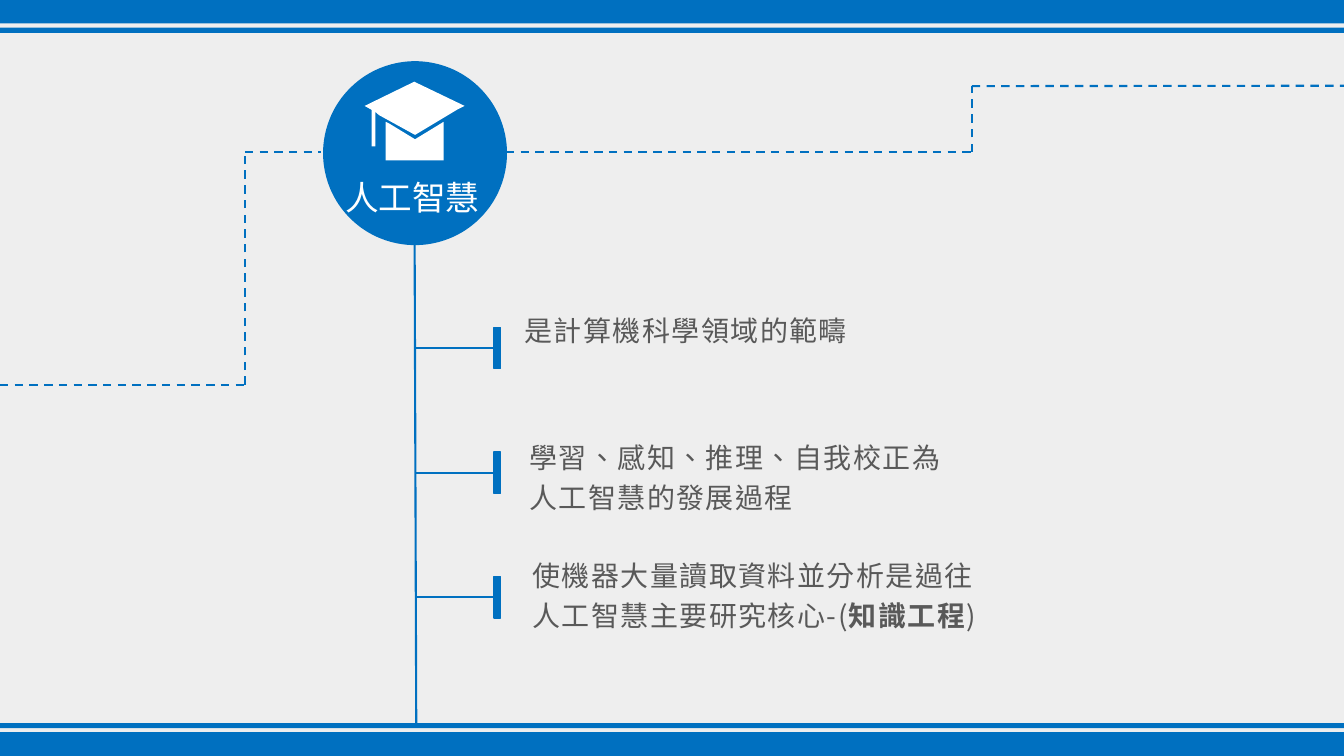
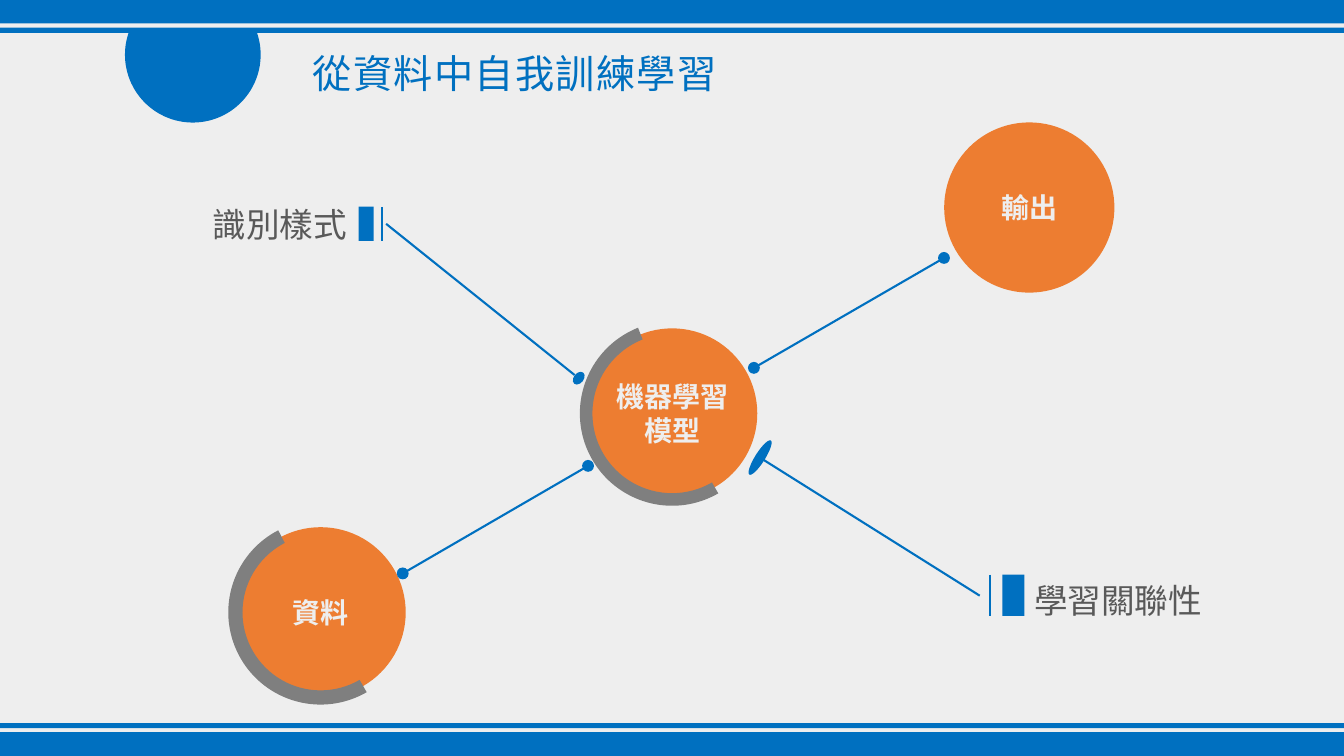
import itertools
import math
from typing import NamedTuple

import lxml.etree
import pptx
import pptx.dml.color
import pptx.enum.dml
import pptx.enum.shapes
import pptx.enum.text
import pptx.oxml.ns
import pptx.util

Cm = pptx.util.Cm
Pt = pptx.util.Pt
KIND = pptx.enum.shapes.MSO_SHAPE
ALIGN = pptx.enum.text.PP_ALIGN
qn = pptx.oxml.ns.qn

COLORS = {
    "back": "EEEEEE",
    "blue": "0070C0",
    "orange": "ED7D31",
    "gray": "7F7F7F",
    "text": "595959",
    "white": "FFFFFF",
}
LATIN = "Calibri"
HAN = "Noto Sans CJK SC"
WIDTH, HEIGHT = 33.87, 19.05

Point = tuple[float, float]


class Box(NamedTuple):
    x: float
    y: float
    w: float
    h: float


class Style(NamedTuple):
    size: float
    color: str
    font: str = LATIN
    space: int = 0
    align: ALIGN = ALIGN.LEFT
    lead: float = 1.0
    bold: bool = False


class Run(NamedTuple):
    text: str
    bold: bool = False


class Note(NamedTuple):
    box: Box
    lines: list[list[Run]]
    font: str = LATIN


class Disc(NamedTuple):
    x: float
    y: float
    lines: list[str]
    arc: tuple[float, float] | None = None


class Tag(NamedTuple):
    text: str
    box: Box
    bar: Box
    rule: float
    start: Point
    end: Point
    knob: Box
    turn: float


BANDS = [
    Box(0, 18.45, WIDTH, 0.6),
    Box(0, 18.22, WIDTH, 0.13),
    Box(0, 0, WIDTH, 0.59),
    Box(0, 0.7, WIDTH, 0.13),
]
TITLE = Style(28, "blue", HAN, 100, ALIGN.JUSTIFY)
LABEL = Style(24, "text")
BADGE = Style(24, "white", HAN)
INNER = Style(20, "back", align=ALIGN.CENTER, bold=True)

LEFT = [(0, 9.7), (6.17, 9.7), (6.17, 3.83), (8.1, 3.83)]
RIGHT = [(12.75, 3.83), (24.49, 3.83), (24.49, 2.17), (WIDTH, 2.16)]
CAP = [
    (9.55, 2.9), (10.46, 3.4), (11.51, 2.77), (11.71, 2.67), (10.44, 2.06),
    (9.19, 2.67), (9.37, 2.77), (9.37, 3.69), (9.46, 3.69), (9.46, 2.82),
]
BASE = [
    (11.1, 3.12), (10.46, 3.51), (9.82, 3.12), (9.72, 3.07),
    (9.72, 4.04), (11.18, 4.04), (11.18, 3.07),
]
STEM = 10.47
NOTES = [
    Note(Box(12.97, 7.6, 13.8, 1.2), [[Run("是計算機科學領域的範疇")]]),
    Note(
        Box(13.09, 10.8, 13.5, 2.24),
        [[Run("學習、感知、推理、自我校正為")], [Run("人工智慧的發展過程")]],
    ),
    Note(
        Box(13.17, 13.78, 13.5, 2.21),
        [
            [Run("使機器大量讀取資料並分析是過往")],
            [Run("人工智慧主要研究核心-("), Run("知識工程", True), Run(")")],
        ],
        HAN,
    ),
]
DISCS = [
    Disc(25.94, 5.23, ["輸出"]),
    Disc(16.94, 10.42, ["機器學習", "模型"], (148.975, 0.068)),
    Disc(8.08, 15.43, ["資料"], (145.617, 0.077)),
]
LINKS = [((19, 9.27), (23.79, 6.5)), ((10.15, 14.45), (14.82, 11.74))]
TAGS = [
    Tag(
        "識別樣式", Box(5.11, 5.02, 3.94, 1.27), Box(9.04, 5.21, 0.38, 0.86), 9.63,
        (9.73, 5.64), (14.48, 9.45), Box(14.46, 9.35, 0.25, 0.36), 38.7,
    ),
    Tag(
        "學習關聯性", Box(25.81, 14.48, 4.78, 1.27),
        Box(25.26, 14.48, 0.56, 1.04), 24.94,
        (24.69, 15.01), (19.23, 11.58), Box(19.03, 11.02, 0.25, 1.02), 32.2,
    ),
]


def rgb(name: str) -> pptx.dml.color.RGBColor:
    return pptx.dml.color.RGBColor.from_string(COLORS[name])


def paint(shape, color: str, edge: float = 0) -> None:
    """Fill a shape, with an outline of the same color if edge is set."""
    shape.shadow.inherit = False
    shape.fill.solid()
    shape.fill.fore_color.rgb = rgb(color)
    if edge:
        shape.line.color.rgb = rgb(color)
        shape.line.width = Pt(edge)
    else:
        shape.line.fill.background()


def draw(slide, kind: KIND, box: Box, color: str, edge: float = 0):
    shape = slide.shapes.add_shape(kind, *map(Cm, box))
    paint(shape, color, edge)
    return shape


def trace(slide, points: list[Point], color: str) -> None:
    """Draw a closed outline."""
    dots = [(Cm(x), Cm(y)) for x, y in points]
    form = slide.shapes.build_freeform(*dots[0])
    form.add_line_segments(dots[1:], close=True)
    paint(form.convert_to_shape(), color)


def line(slide, start: Point, end: Point, dash: bool = False):
    link = slide.shapes.add_connector(
        pptx.enum.shapes.MSO_CONNECTOR.STRAIGHT, *map(Cm, start + end)
    )
    link.line.color.rgb = rgb("blue")
    link.line.width = Pt(1.5)
    if dash:
        link.line.dash_style = pptx.enum.dml.MSO_LINE.DASH
    lxml.etree.SubElement(link.element.spPr, qn("a:effectLst"))
    return link


def ring(x: float, y: float, size: float) -> Box:
    """Square box around a center."""
    return Box(x - size / 2, y - size / 2, size, size)


def fill(frame, lines: list[list[Run]], style: Style) -> None:
    """Write paragraphs run by run."""
    for i, runs in enumerate(lines):
        para = frame.add_paragraph() if i else frame.paragraphs[0]
        para.alignment = style.align
        para.line_spacing = style.lead
        for part in runs:
            run = para.add_run()
            run.text = part.text
            run.font.size = Pt(style.size)
            run.font.bold = style.bold or part.bold
            run.font.color.rgb = rgb(style.color)
            run.font.name = style.font
            props = run.font._element
            props.set("lang", "zh-TW")
            props.set("spc", str(style.space))
            lxml.etree.SubElement(props, qn("a:ea")).set("typeface", HAN)


def write(slide, box: Box, lines: list[list[Run]], style: Style, wrap: bool = False) -> None:
    frame = slide.shapes.add_textbox(*map(Cm, box)).text_frame
    frame.word_wrap = wrap
    frame.auto_size = pptx.enum.text.MSO_AUTO_SIZE.SHAPE_TO_FIT_TEXT
    fill(frame, lines, style)


def start(deck):
    """Add a slide with the shared ground and bands."""
    slide = deck.slides.add_slide(deck.slide_layouts[6])
    ground = slide.background.fill
    ground.solid()
    ground.fore_color.rgb = rgb("back")
    for band in BANDS:
        draw(slide, KIND.RECTANGLE, band, "blue")
    return slide


def tree(deck) -> None:
    slide = start(deck)
    for chain in (LEFT, RIGHT):
        for a, b in itertools.pairwise(chain):
            line(slide, a, b, dash=True)
    draw(slide, KIND.OVAL, ring(10.46, 3.86, 4.6), "blue", 1)
    trace(slide, CAP, "white")
    trace(slide, BASE, "white")
    write(slide, Box(8.45, 4.33, 3.94, 1.27), [[Run("人工智慧")]], BADGE)
    line(slide, (10.45, 6.15), (10.49, 18.29))
    for i, note in enumerate(NOTES):
        top = 8.25 + 3.14 * i
        bar = draw(slide, KIND.RECTANGLE, Box(12.45, top, 0.17, 1.04), "blue", 1)
        mid = top + 0.52
        line(slide, (STEM, mid), (12.45, mid)).end_connect(bar, 1)
        style = Style(20, "text", note.font, 100, lead=1.2)
        write(slide, note.box, note.lines, style, wrap=True)


def model(deck) -> None:
    slide = start(deck)
    write(slide, Box(7.63, 1.12, 19.6, 1.45), [[Run("從資料中自我訓練學習")]], TITLE, wrap=True)
    turns = [math.radians(a) for a in range(-19, 200, 2)]
    bowl = [(4.86 + 1.71 * math.cos(t), 1.38 + 1.71 * math.sin(t)) for t in turns]
    trace(slide, bowl, "blue")

    for disc in DISCS:
        oval = draw(slide, KIND.OVAL, ring(disc.x, disc.y, 4.29), "orange")
        oval.text_frame.word_wrap = False
        fill(oval.text_frame, [[Run(text)] for text in disc.lines], INNER)
        if disc.arc:
            arc = draw(slide, KIND.BLOCK_ARC, ring(disc.x, disc.y, 4.65), "gray")
            for i, value in enumerate((35.997, *disc.arc)):
                arc.adjustments[i] = value

    for ends in LINKS:
        line(slide, *ends)
        for x, y in ends:
            draw(slide, KIND.OVAL, ring(x, y, 0.3), "blue")

    for tag in TAGS:
        write(slide, tag.box, [[Run(tag.text)]], LABEL)
        draw(slide, KIND.RECTANGLE, tag.bar, "blue")
        line(slide, (tag.rule, tag.bar.y), (tag.rule, tag.bar.y + tag.bar.h))
        line(slide, tag.start, tag.end)
        draw(slide, KIND.OVAL, tag.knob, "blue").rotation = tag.turn


def main() -> None:
    deck = pptx.Presentation()
    deck.slide_width, deck.slide_height = Cm(WIDTH), Cm(HEIGHT)
    tree(deck)
    model(deck)
    deck.save("out.pptx")


if __name__ == "__main__":
    main()
